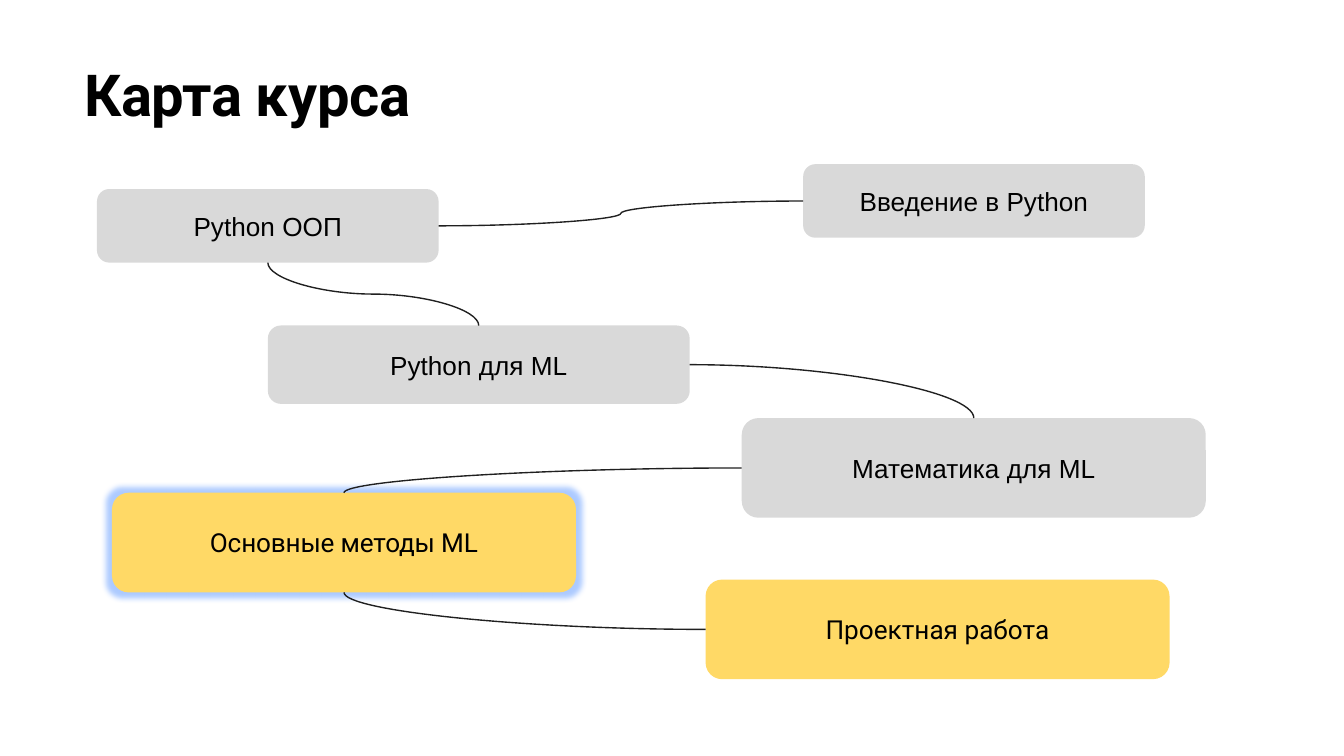
"""Build the course map slide: a title and six linked course blocks."""
import pptx
import pptx.dml.color
import pptx.enum.shapes
import pptx.enum.text
import pptx.oxml
import pptx.oxml.ns
import pptx.util

Pt = pptx.util.Pt
COLORS = {"text": "000000", "grey": "D9D9D9", "yellow": "FFD966", "line": "202020", "glow": "5A96FF"}
TOP, LEFT, BOTTOM, RIGHT = range(4)


def rgb(name):
    return pptx.dml.color.RGBColor.from_string(COLORS[name])


def style_span(span, font_name, size, spacing):
    span.font.name = font_name
    span.font.size = Pt(size)
    span.font.color.rgb = rgb("text")
    if spacing:
        span._r.get_or_add_rPr().set("spc", str(spacing))


deck = pptx.Presentation()
deck.slide_width, deck.slide_height = Pt(720), Pt(405)
page = deck.slides.add_slide(deck.slide_layouts[6])

title = page.shapes.add_textbox(Pt(45.4), Pt(30.2), Pt(490), Pt(39))
frame = title.text_frame
frame.word_wrap = True
frame.margin_left = frame.margin_right = frame.margin_bottom = 0
frame.margin_top = Pt(1)
para = frame.paragraphs[0]
for words, spacing in (("Карта ", -30), ("курса", -10)):
    span = para.add_run()
    span.text = words
    style_span(span, "Roboto", 31, spacing)
    span.font.bold = True

blocks = {}
for name, left, top, width, height, fill, font_name, spacing in (
    ("Введение в Python", 430.3, 88, 183, 39.4, "grey", "Arial", 0),
    ("Python ООП", 52, 101.3, 183, 39.4, "grey", "Arial", 0),
    ("Python для ML", 143.5, 174.4, 226, 42, "grey", "Arial", 0),
    ("Математика для ML", 397.4, 224, 248.6, 53.4, "grey", "Arial", 0),
    ("Основные методы ML", 60, 264, 248.6, 53.4, "yellow", "Roboto", -10),
    ("Проектная работа", 378, 310.5, 248.6, 53.4, "yellow", "Roboto", 0),
):
    box = page.shapes.add_shape(
        pptx.enum.shapes.MSO_SHAPE.ROUNDED_RECTANGLE, Pt(left), Pt(top), Pt(width), Pt(height))
    box.shadow.inherit = False
    box.fill.solid()
    box.fill.fore_color.rgb = rgb(fill)
    box.line.fill.background()
    box.text_frame.text = name
    box.text_frame.word_wrap = True
    box.text_frame.vertical_anchor = pptx.enum.text.MSO_ANCHOR.MIDDLE
    para = box.text_frame.paragraphs[0]
    para.alignment = pptx.enum.text.PP_ALIGN.CENTER
    style_span(para.runs[0], font_name, 14, spacing)
    blocks[name] = box

effects = blocks["Основные методы ML"]._element.spPr.find(pptx.oxml.ns.qn("a:effectLst"))
effects.append(pptx.oxml.parse_xml(
    f'<a:glow {pptx.oxml.ns.nsdecls("a")} rad="{Pt(6)}"><a:srgbClr val="{COLORS["glow"]}">'
    '<a:alpha val="50000"/></a:srgbClr></a:glow>'))

for start, start_side, end, end_side, preset in (
    ("Введение в Python", LEFT, "Python ООП", RIGHT, "curvedConnector3"),
    ("Python ООП", BOTTOM, "Python для ML", TOP, "curvedConnector3"),
    ("Математика для ML", TOP, "Python для ML", RIGHT, "curvedConnector2"),
    ("Математика для ML", LEFT, "Основные методы ML", TOP, "curvedConnector2"),
    ("Проектная работа", LEFT, "Основные методы ML", BOTTOM, "curvedConnector2"),
):
    link = page.shapes.add_connector(pptx.enum.shapes.MSO_CONNECTOR.CURVE, 0, 0, 0, 0)
    link.begin_connect(blocks[start], start_side)
    link.end_connect(blocks[end], end_side)
    link.line.color.rgb = rgb("line")
    link.line.width = Pt(0.75)
    properties = link._element.spPr
    properties.find(pptx.oxml.ns.qn("a:prstGeom")).set("prst", preset)
    properties.append(pptx.oxml.parse_xml(f'<a:effectLst {pptx.oxml.ns.nsdecls("a")}/>'))
    if start_side in (TOP, BOTTOM):
        across, down = link.width, link.height
        link.left += (across - down) // 2
        link.top += (down - across) // 2
        link.width, link.height = down, across
        transform = properties.find(pptx.oxml.ns.qn("a:xfrm"))
        transform.set("rot", str(270 * 60000))
        transform.set("flipH", str(int(start_side == BOTTOM)))
        transform.set("flipV", str(int(start_side == TOP)))

deck.save("out.pptx")
